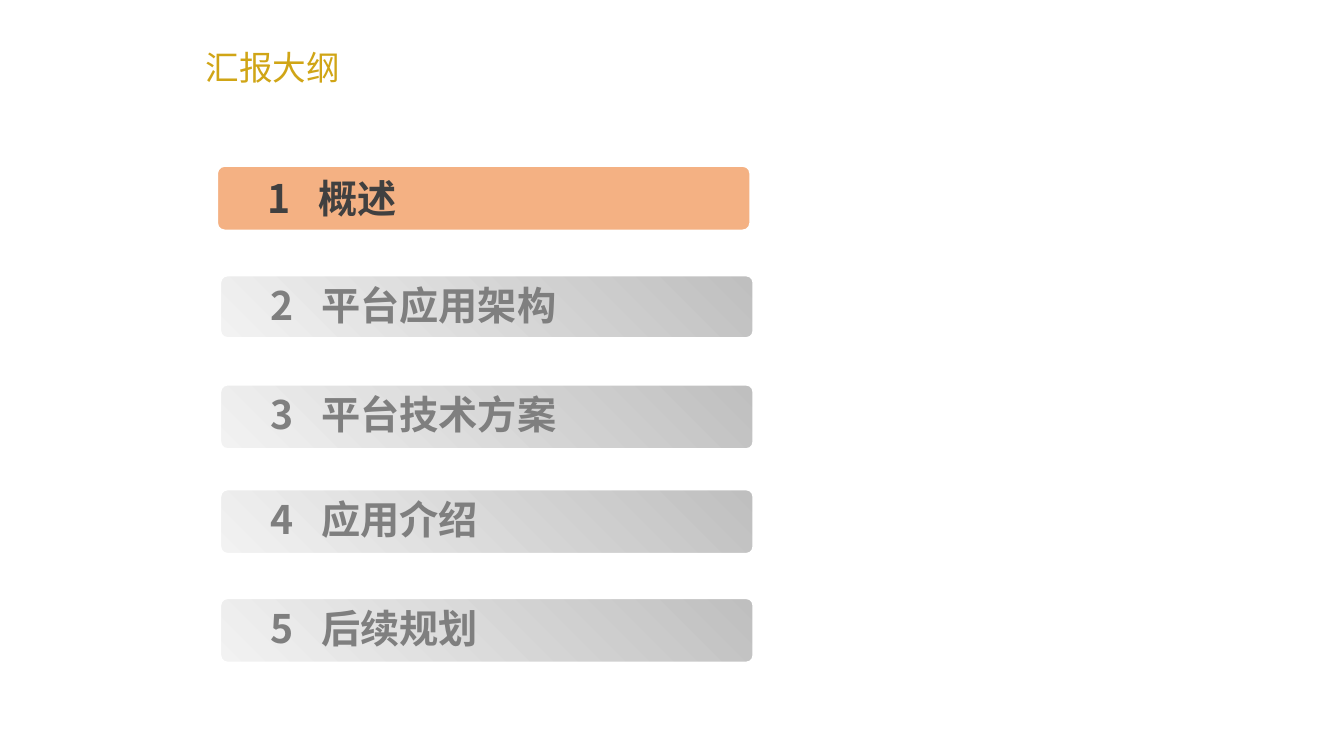
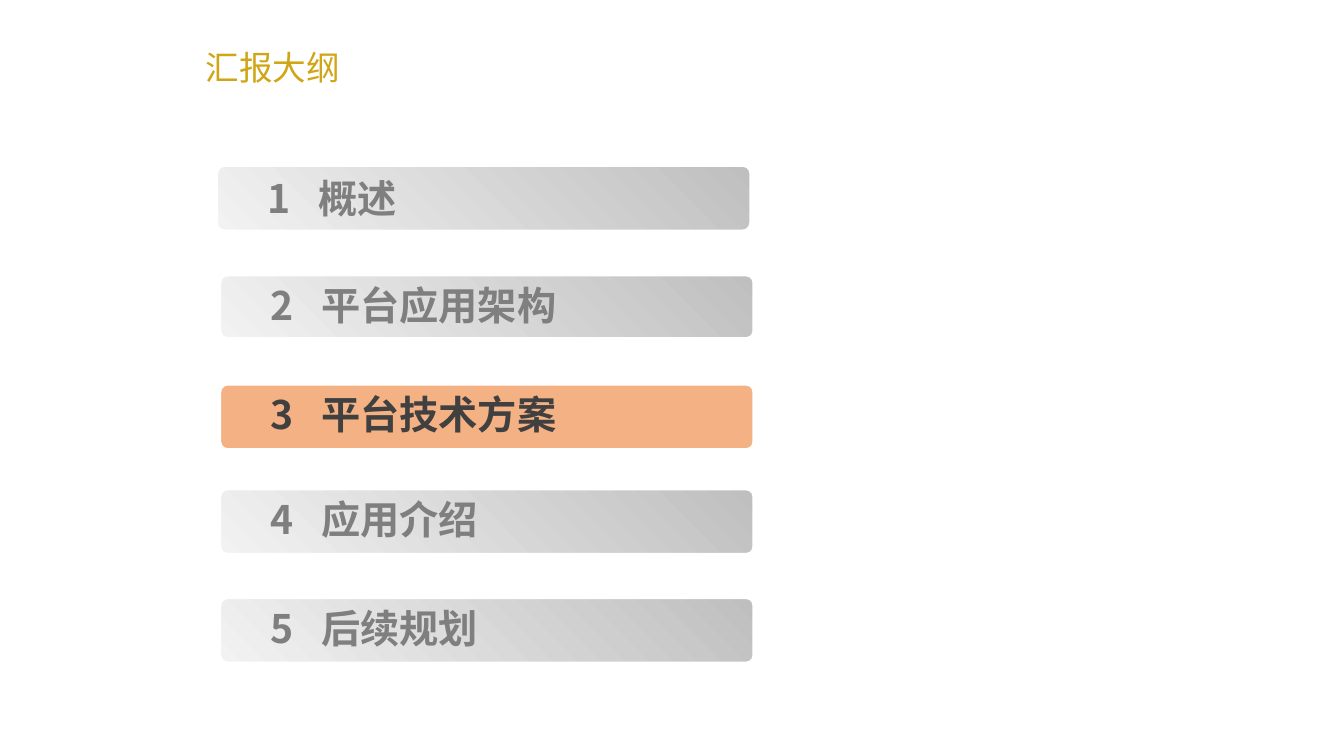
from dataclasses import dataclass

from lxml.etree import SubElement
from pptx import Presentation
from pptx.dml.color import RGBColor
from pptx.enum.shapes import MSO_SHAPE
from pptx.enum.text import MSO_ANCHOR, MSO_AUTO_SIZE, PP_ALIGN
from pptx.oxml.ns import qn
from pptx.slide import Slide
from pptx.text.text import _Paragraph
from pptx.util import Cm, Pt

FONT = "Noto Sans CJK SC"
GOLD = "D0A516"
WHITE = "FFFFFF"
ACTIVE_FILL, ACTIVE_TEXT = "F4B183", "404040"
IDLE_FILL, IDLE_TEXT = ("F2F2F2", "BFBFBF"), "7F7F7F"

BAR_WIDTH = 13.46
LABEL_INDENT = 1.04
LABEL_WIDTH, LABEL_HEIGHT = 11.35, 1.45
NUMBER_WIDTH = 1.27


@dataclass(frozen=True)
class Chapter:
    """One outline entry, with lengths in centimetres."""
    number: int
    name: str
    top: float
    left: float = 5.54
    height: float = 1.65
    label_drop: float = 0.03


CHAPTERS = (
    Chapter(1, "概述", 4.17, left=5.46, label_drop=0.1),
    Chapter(2, "平台应用架构", 6.93, height=1.6),
    Chapter(3, "平台技术方案", 9.68),
    Chapter(4, "应用介绍", 12.32),
    Chapter(5, "后续规划", 15.06, label_drop=0.05),
)
ACTIVE_CHAPTERS = (1, 3)


def rgb(code: str) -> RGBColor:
    """Turn a hex string into a colour."""
    return RGBColor.from_string(code)


def format_runs(paragraph: _Paragraph, size: float, color: str, bold: bool = False) -> None:
    """Set the type of all runs, for Latin and East Asian text alike."""
    for run in paragraph.runs:
        run.font.size = Pt(size)
        run.font.bold = bold
        run.font.color.rgb = rgb(color)
        run.font.name = FONT
        SubElement(run._r.get_or_add_rPr(), qn("a:ea"), typeface=FONT)


def add_tab_stop(paragraph: _Paragraph, position: float) -> None:
    """Add a left tab stop, in centimetres from the text edge."""
    tabs = SubElement(paragraph._p.get_or_add_pPr(), qn("a:tabLst"))
    SubElement(tabs, qn("a:tab"), pos=str(int(Cm(position))), algn="l")


def set_title(slide: Slide, text: str) -> None:
    """Place and format the slide title."""
    title = slide.shapes.title
    title.left, title.top = Cm(4.93), Cm(0.33)
    title.width, title.height = Cm(17.6), Cm(2.21)
    frame = title.text_frame
    frame.text = text
    frame.word_wrap = True
    frame.vertical_anchor = MSO_ANCHOR.MIDDLE
    heading = frame.paragraphs[0]
    heading.alignment = PP_ALIGN.LEFT
    heading.line_spacing = 1.5
    heading.space_before = Pt(4.8)
    format_runs(heading, 24, GOLD)


def add_chapter(slide: Slide, chapter: Chapter, active: bool) -> None:
    """Draw one chapter as a group of a bar and its label."""
    group = slide.shapes.add_group_shape()
    bar = group.shapes.add_shape(
        MSO_SHAPE.ROUNDED_RECTANGLE, Cm(chapter.left), Cm(chapter.top),
        Cm(BAR_WIDTH), Cm(chapter.height))
    bar.adjustments[0] = 0.12
    bar.shadow.inherit = False
    bar.line.color.rgb = rgb(WHITE)
    bar.line.width = Pt(2)
    if active:
        bar.fill.solid()
        bar.fill.fore_color.rgb = rgb(ACTIVE_FILL)
    else:
        bar.fill.gradient()
        bar.fill.gradient_angle = 45
        for stop, color in zip(bar.fill.gradient_stops, IDLE_FILL):
            stop.color.rgb = rgb(color)

    label = group.shapes.add_textbox(
        Cm(chapter.left + LABEL_INDENT), Cm(chapter.top + chapter.label_drop),
        Cm(LABEL_WIDTH), Cm(LABEL_HEIGHT))
    frame = label.text_frame
    frame.word_wrap = True
    frame.auto_size = MSO_AUTO_SIZE.SHAPE_TO_FIT_TEXT
    frame.text = f"{chapter.number}\t{chapter.name}"
    entry = frame.paragraphs[0]
    add_tab_stop(entry, NUMBER_WIDTH)
    format_runs(entry, 28, ACTIVE_TEXT if active else IDLE_TEXT, bold=True)


def main() -> None:
    """Build one outline slide for each highlighted chapter."""
    deck = Presentation()
    deck.slide_width, deck.slide_height = Cm(33.87), Cm(19.05)
    title_only = deck.slide_layouts[5]
    for active_number in ACTIVE_CHAPTERS:
        slide = deck.slides.add_slide(title_only)
        set_title(slide, "汇报大纲")
        for chapter in CHAPTERS:
            add_chapter(slide, chapter, chapter.number == active_number)
    deck.save("out.pptx")


main()
